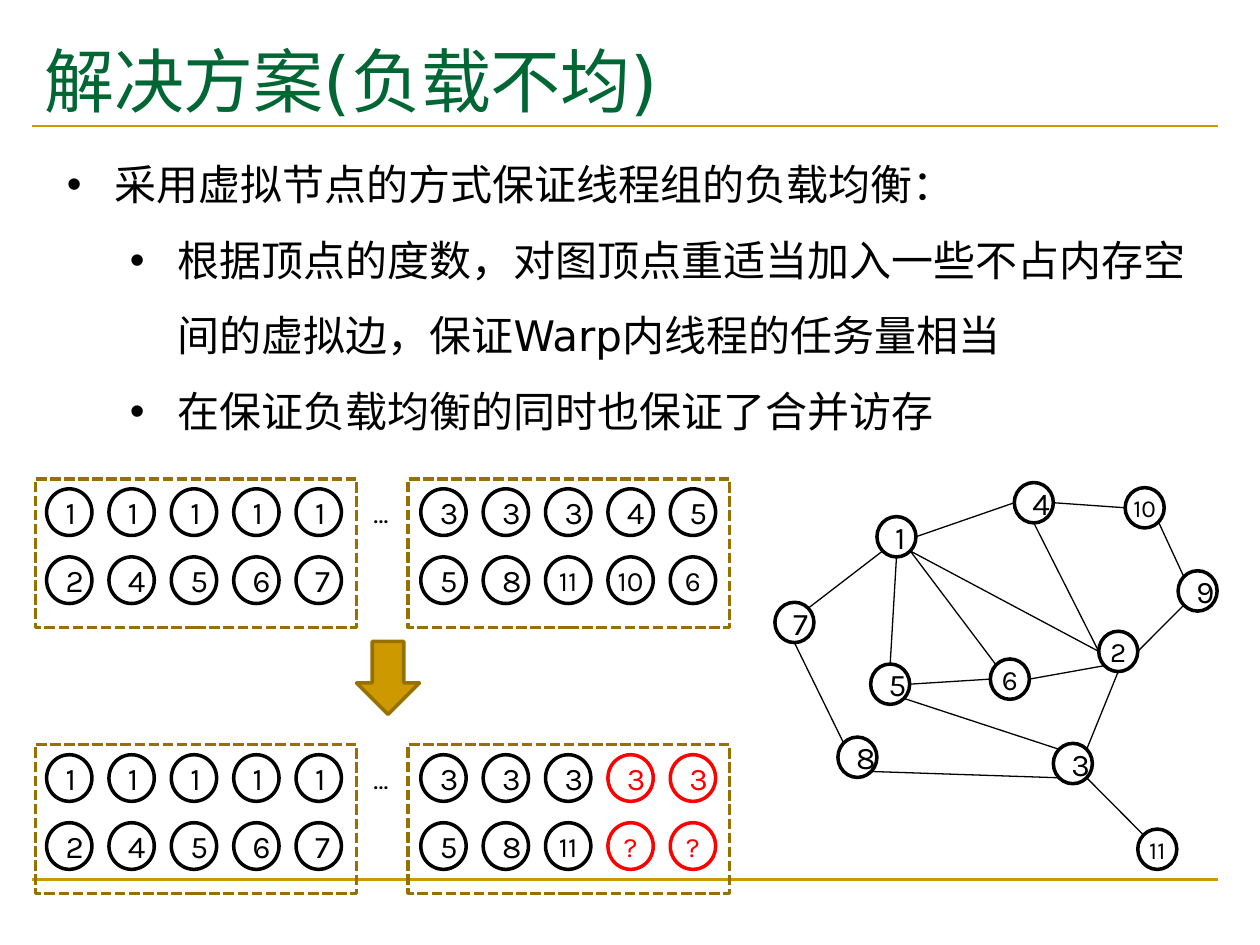
from math import cos, radians, sin

from lxml.etree import SubElement
from pptx import Presentation
from pptx.dml.color import RGBColor
from pptx.enum.dml import MSO_LINE
from pptx.enum.shapes import MSO_CONNECTOR, MSO_SHAPE
from pptx.enum.text import MSO_ANCHOR, MSO_AUTO_SIZE, PP_ALIGN
from pptx.oxml.ns import qn
from pptx.util import Inches, Pt

COLORS = {name: RGBColor.from_string(value) for name, value in {
    "title": "006633", "gold": "CC9900", "dark_gold": "977100",
    "black": "000000", "white": "FFFFFF", "red": "FF0000"}.items()}
TEXT_FONT, NODE_FONT = "DejaVu Sans", "Karla"


def add_line(shapes, start, end, color, width):
    line = shapes.add_connector(MSO_CONNECTOR.STRAIGHT, *map(Inches, start + end))
    line.line.color.rgb = COLORS[color]
    line.line.width = Pt(width)
    SubElement(line._element.spPr, qn("a:effectLst"))


def add_circle(shapes, label, left, top, width, height, size=18, color="black", outlined=True):
    """Add a labelled circle; text below 18 points gets no inner margins."""
    circle = shapes.add_shape(MSO_SHAPE.OVAL, *map(Inches, (left, top, width, height)))
    circle.shadow.inherit = False
    circle.fill.solid()
    circle.fill.fore_color.rgb = COLORS["white"]
    if outlined:
        circle.line.color.rgb = COLORS[color]
        circle.line.width = Pt(2)
    else:
        circle.line.fill.background()
    frame = circle.text_frame
    frame.vertical_anchor = MSO_ANCHOR.MIDDLE
    if size < 18:
        frame.margin_left = frame.margin_right = frame.margin_top = frame.margin_bottom = 0
    paragraph = frame.paragraphs[0]
    paragraph.alignment = PP_ALIGN.CENTER
    span = paragraph.add_run()
    span.text = label
    span.font.name, span.font.size = NODE_FONT, Pt(size)
    span.font.color.rgb = COLORS[color]


deck = Presentation()
deck.slide_width, deck.slide_height = Inches(10), Inches(7.5)
page = deck.slides.add_slide(deck.slide_layouts[1])

# Rules under the title and at the foot
for rule_y in (1, 6.98):
    add_line(page.shapes, (0.25, rule_y), (9.67, rule_y), "gold", 1.5)

# Title
title = page.shapes.title
title.left, title.top, title.width, title.height = map(Inches, (0.25, 0.28, 9.42, 0.71))
title.text_frame.auto_size = MSO_AUTO_SIZE.NONE
title.text_frame.vertical_anchor = MSO_ANCHOR.MIDDLE
heading = title.text_frame.paragraphs[0]
heading.alignment = PP_ALIGN.LEFT
span = heading.add_run()
span.text = "解决方案(负载不均)"
span.font.name, span.font.size = TEXT_FONT, Pt(40)
span.font.color.rgb = COLORS["title"]

# Bullet list
body = page.placeholders[1]
body.left, body.top, body.width, body.height = map(Inches, (0.43, 1.01, 9.23, 2.52))
body.text_frame.auto_size = MSO_AUTO_SIZE.SHAPE_TO_FIT_TEXT
POINTS = [
    (0, "采用虚拟节点的方式保证线程组的负载均衡："),
    (1, "根据顶点的度数，对图顶点重适当加入一些不占内存空间的虚拟边，保证Warp内线程的任务量相当"),
    (1, "在保证负载均衡的同时也保证了合并访存"),
]
for index, (level, words) in enumerate(POINTS):
    paragraph = body.text_frame.add_paragraph() if index else body.text_frame.paragraphs[0]
    properties = paragraph._p.get_or_add_pPr()
    properties.set("marL", str(Inches(0.38 + 0.5 * level)))
    properties.set("indent", str(Inches(-0.38)))
    SubElement(properties, qn("a:buChar")).set("char", "•")
    paragraph.level = level
    paragraph.line_spacing = 1.5
    paragraph.space_before = Pt(0)
    span = paragraph.add_run()
    span.text = words
    span.font.name, span.font.size = TEXT_FONT, Pt(24)
    span.font.color.rgb = COLORS["black"]

# Thread groups before and after balancing: eleven columns, the sixth holds the dots
COLUMN, ROW = 0.495, 0.54
LEFT_COLUMNS = ["12", "14", "15", "16", "17"]
BLOCKS = [
    (3.8, [("3", "5"), ("3", "8"), ("3", "11"), ("4", "10"), ("5", "6")], ()),
    (5.91, [("3", "5"), ("3", "8"), ("3", "11"), ("3", "?"), ("3", "?")], (9, 10)),
]
for block_top, right_columns, virtual_columns in BLOCKS:
    for frame_left in (0.28, 3.24):
        border = page.shapes.add_shape(
            MSO_SHAPE.RECTANGLE, *map(Inches, (frame_left, block_top, 2.55, 1.18)))
        border.shadow.inherit = False
        border.fill.background()
        border.line.color.rgb = COLORS["dark_gold"]
        border.line.width = Pt(2)
        border.line.dash_style = MSO_LINE.SQUARE_DOT
    for column, labels in enumerate([*LEFT_COLUMNS, "…", *right_columns]):
        holder = page.shapes.add_group_shape().shapes
        for row, label in enumerate(labels):
            small = label in ("10", "11", "?", "…") or (label == "6" and column > 5)
            add_circle(holder, label, 0.37 + COLUMN * column, block_top + 0.08 + ROW * row,
                       0.36, 0.37, size=16 if small else 18,
                       color="red" if column in virtual_columns else "black",
                       outlined=label != "…")

arrow = page.shapes.add_shape(MSO_SHAPE.DOWN_ARROW, *map(Inches, (2.83, 5.09, 0.5, 0.58)))
arrow.shadow.inherit = False
arrow.fill.solid()
arrow.fill.fore_color.rgb = COLORS["gold"]
arrow.line.color.rgb = COLORS["dark_gold"]
arrow.line.width = Pt(2)

# Graph: top left corner of each node, then edges between compass points of nodes
NODE_WIDTH, NODE_HEIGHT = 0.31, 0.32
NODES = {
    1: (6.96, 4.1), 2: (8.72, 5.01), 3: (8.36, 5.9), 4: (8.05, 3.83),
    5: (6.91, 5.27), 6: (7.86, 5.23), 7: (6.15, 4.78), 8: (6.65, 5.85),
    9: (9.35, 4.53), 10: (8.93, 3.87), 11: (9.03, 6.58),
}
NODE_SIZES = {2: 16, 6: 16, 10: 14, 11: 14}
ANGLES = {"E": 0, "SE": 45, "S": 90, "SW": 135, "W": 180, "NW": 225, "N": 270, "NE": 315}
EDGES = [
    (1, "SW", 7, "NE"), (6, "W", 5, "E"), (4, "W", 1, "E"), (9, "SW", 2, "E"),
    (2, "W", 4, "S"), (2, "W", 1, "SE"), (2, "SW", 6, "E"), (6, "NW", 1, "SE"),
    (5, "N", 1, "S"), (8, "NW", 7, "S"), (3, "SW", 8, "SE"), (3, "NE", 2, "S"),
    (11, "NW", 3, "SE"), (3, "NW", 5, "SE"), (9, "NW", 10, "SE"), (10, "W", 4, "E"),
]
graph = page.shapes.add_group_shape().shapes
for number, (left, top) in NODES.items():
    add_circle(graph, str(number), left, top, NODE_WIDTH, NODE_HEIGHT,
               size=NODE_SIZES.get(number, 18))
for first, first_side, second, second_side in EDGES:
    ends = []
    for number, side in ((first, first_side), (second, second_side)):
        left, top = NODES[number]
        angle = radians(ANGLES[side])
        ends.append((left + NODE_WIDTH / 2 * (1 + cos(angle)),
                     top + NODE_HEIGHT / 2 * (1 + sin(angle))))
    add_line(graph, *ends, "black", 0.75)

deck.save("out.pptx")
